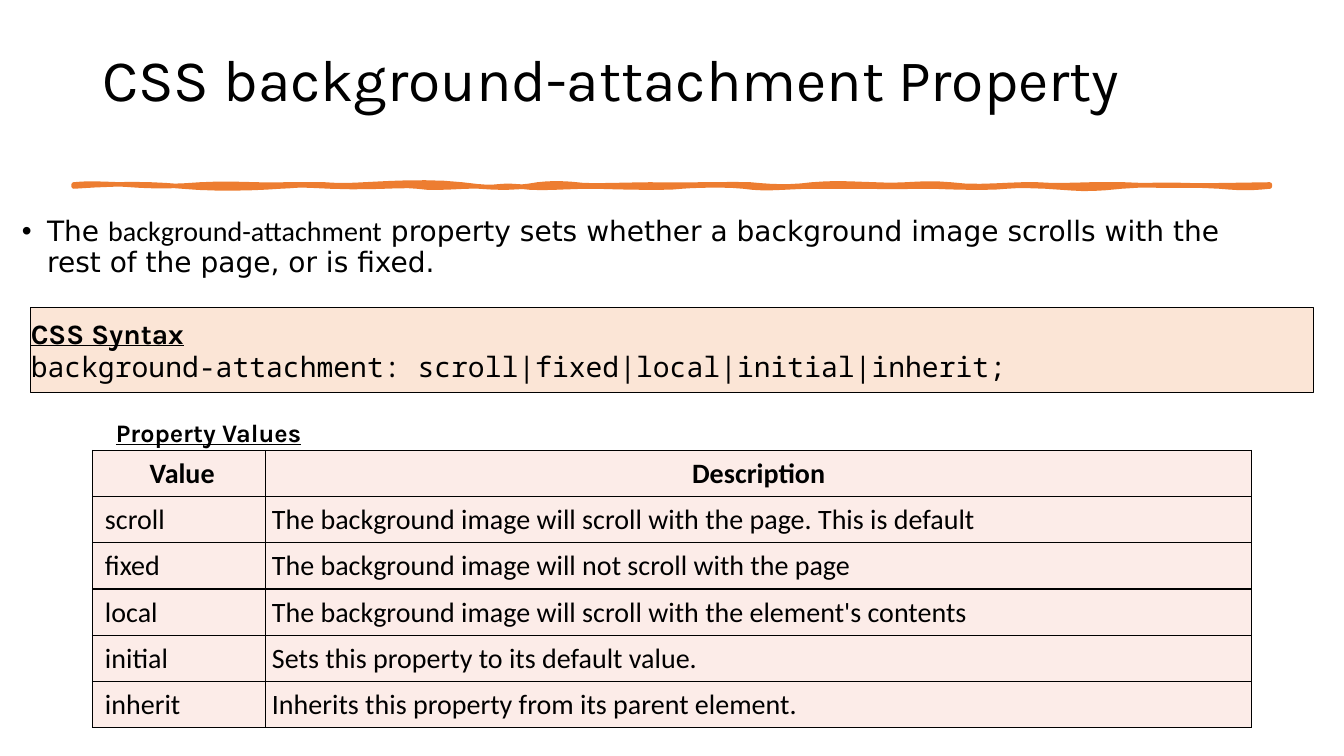
import lxml.etree
import pptx
import pptx.dml.color
import pptx.enum.shapes
import pptx.enum.text
import pptx.oxml.ns
import pptx.util

Pt = pptx.util.Pt
Align = pptx.enum.text.PP_ALIGN
Anchor = pptx.enum.text.MSO_ANCHOR
qn = pptx.oxml.ns.qn

INK, ORANGE, PEACH, ROSE = "000000", "ED7D31", "FBE5D6", "FCECE8"
SANS, HEAD, WIDE, MONO = "Calibri", "Karla", "DejaVu Sans", "Noto Sans Mono"

TITLE = "CSS background-attachment Property"
INTRO = [
    ("The ", WIDE),
    ("background-attachment", SANS),
    (" property sets whether a background image scrolls with the rest of the page, or is fixed.", WIDE),
]
SYNTAX = ("CSS Syntax", "background-attachment: scroll|fixed|local|initial|inherit;")
LABEL = "Property Values"
ROWS = [
    ("Value", "Description"),
    ("scroll", "The background image will scroll with the page. This is default"),
    ("fixed", "The background image will not scroll with the page"),
    ("local", "The background image will scroll with the element's contents"),
    ("initial", "Sets this property to its default value."),
    ("inherit", "Inherits this property from its parent element."),
]
COLS = (123.8, 704.2)

START = 52.6
UPPER = [
    (64, -1.4, 80, 0, 89), (98, 0.7, 117, 2.2, 143), (168, -1.4, 181, 0.7, 204),
    (228, 0, 221, 0, 232), (243, 0.7, 246, 0.7, 260), (274, -0.7, 305, -2.9, 330),
    (356, 3.6, 372, 2.2, 384), (395, -1.4, 405, -0.7, 412), (418, 1.4, 450, 0, 465),
    (480, 0.7, 521, -0.7, 536), (551, 1.4, 563, 2.2, 580), (598, -1.4, 603, -0.7, 625),
    (647, 1.4, 658, -2.2, 679), (700, 2.9, 721, -0.7, 741), (760, 1.4, 776, -0.7, 803),
    (829, 1.4, 863, 0.7, 907),
]
LOWER = [
    (894, 1.4, 886, 1.4, 871), (857, -0.7, 827, -2.2, 801), (774, 2.9, 770, 1.4, 747),
    (724, -0.7, 733, -0.7, 719), (706, 1.4, 683, 0.7, 666), (649, 0, 636, 0.7, 621),
    (606, 0, 596, 0, 576), (557, 0.7, 545, 2.2, 531), (518, -1.4, 495, -0.7, 487),
    (477, 1.4, 449, 0.7, 425), (400, 0, 387, 2.2, 371), (356, -1.4, 354, 1.4, 343),
    (333, -0.7, 310, 2.2, 298), (287, -1.4, 267, 1.4, 236), (206, -1.4, 218, -0.7, 200),
    (182, 1.4, 153, 2.2, 130), (106, -2.2, 85, -2.2, START),
]


def tint(color):
    return pptx.dml.color.RGBColor.from_string(color)


def write(para, text, face, size, bold=False, under=False):
    run = para.add_run()
    run.text = text
    font = run.font
    font.name, font.size = face, Pt(size)
    font.bold, font.underline = bold, under
    font.color.rgb = tint(INK)


def add_box(slide, left, top, width, height, anchor):
    box = slide.shapes.add_textbox(Pt(left), Pt(top), Pt(width), Pt(height))
    frame = box.text_frame
    frame.word_wrap = True
    frame.vertical_anchor = anchor
    return frame


def paint(shape, fill, line, weight):
    shape.shadow.inherit = False
    shape.fill.solid()
    shape.fill.fore_color.rgb = tint(fill)
    shape.line.color.rgb = tint(line)
    shape.line.width = Pt(weight)


def trace(start, curves, base, steps=6):
    points, last = [], start
    for ax, ay, bx, by, end in curves:
        for step in range(1, steps + 1):
            t = step / steps
            u = 1 - t
            x = u**3 * last + 3 * u * u * t * ax + 3 * u * t * t * bx + t**3 * end
            y = base + 3 * u * u * t * ay + 3 * u * t * t * by
            points.append((Pt(x), Pt(y)))
        last = end
    return points


def add_rule(slide):
    top, low = 131.8, 133.2
    pen = slide.shapes.build_freeform(Pt(START), Pt(top))
    end = UPPER[-1][-1]
    edge = trace(START, UPPER, top) + [(Pt(end), Pt(low))] + trace(end, LOWER, low)
    pen.add_line_segments(edge, close=True)
    paint(pen.convert_to_shape(), ORANGE, ORANGE, 3.25)


def add_bullet(para):
    props = para._p.get_or_add_pPr()
    props.set("marL", str(Pt(18)))
    props.set("indent", str(Pt(-18)))
    lxml.etree.SubElement(props, qn("a:buFont")).set("typeface", "Arial")
    lxml.etree.SubElement(props, qn("a:buChar")).set("char", "•")


def add_edges(cell):
    props = cell._tc.get_or_add_tcPr()
    for spot, side in enumerate(("lnL", "lnR", "lnT", "lnB")):
        line = lxml.etree.Element(qn("a:" + side), w=str(Pt(1)))
        fill = lxml.etree.SubElement(line, qn("a:solidFill"))
        lxml.etree.SubElement(fill, qn("a:srgbClr")).set("val", INK)
        props.insert(spot, line)


def add_grid(slide):
    high = 33
    frame = slide.shapes.add_table(
        len(ROWS), len(COLS), Pt(66), Pt(321.8), Pt(sum(COLS)), Pt(high * len(ROWS)))
    grid = frame.table
    for col, width in zip(grid.columns, COLS):
        col.width = Pt(width)
    for r, row in enumerate(ROWS):
        grid.rows[r].height = Pt(high)
        for c, text in enumerate(row):
            cell = grid.cell(r, c)
            cell.margin_left = Pt(4.5 if c else 9)
            cell.margin_right = cell.margin_top = cell.margin_bottom = Pt(4.5)
            cell.fill.solid()
            cell.fill.fore_color.rgb = tint(ROSE)
            add_edges(cell)
            para = cell.text_frame.paragraphs[0]
            para.alignment = Align.LEFT if r else Align.CENTER
            write(para, text, SANS, 20, bold=r == 0)


def add_syntax(slide):
    kind = pptx.enum.shapes.MSO_SHAPE.RECTANGLE
    box = slide.shapes.add_shape(kind, Pt(22), Pt(219.6), Pt(916), Pt(60.5))
    paint(box, PEACH, INK, 0.75)
    frame = box.text_frame
    frame.word_wrap = True
    frame.vertical_anchor = Anchor.MIDDLE
    frame.margin_left = frame.margin_right = 0
    frame.margin_top = frame.margin_bottom = Pt(5.8)
    head, code = frame.paragraphs[0], frame.add_paragraph()
    head.alignment = code.alignment = Align.LEFT
    write(head, SYNTAX[0], HEAD, 20, bold=True, under=True)
    write(code, SYNTAX[1], MONO, 20)


def main():
    deck = pptx.Presentation()
    deck.slide_width, deck.slide_height = Pt(960), Pt(540)
    slide = deck.slides.add_slide(deck.slide_layouts[6])

    title = add_box(slide, 66, 28.8, 828, 104.4, Anchor.MIDDLE)
    title.margin_bottom = Pt(48)
    para = title.paragraphs[0]
    para.line_spacing = 0.9
    write(para, TITLE, HEAD, 42)

    add_rule(slide)

    para = add_box(slide, 8.6, 152, 885.6, 334.8, Anchor.TOP).paragraphs[0]
    add_bullet(para)
    para.line_spacing = 0.9
    for text, face in INTRO:
        write(para, text, face, 20)

    add_grid(slide)
    add_syntax(slide)

    label = add_box(slide, 75.6, 272.2, 480, 51, Anchor.BOTTOM)
    write(label.paragraphs[0], LABEL, HEAD, 18, bold=True, under=True)

    deck.save("out.pptx")


if __name__ == "__main__":
    main()
